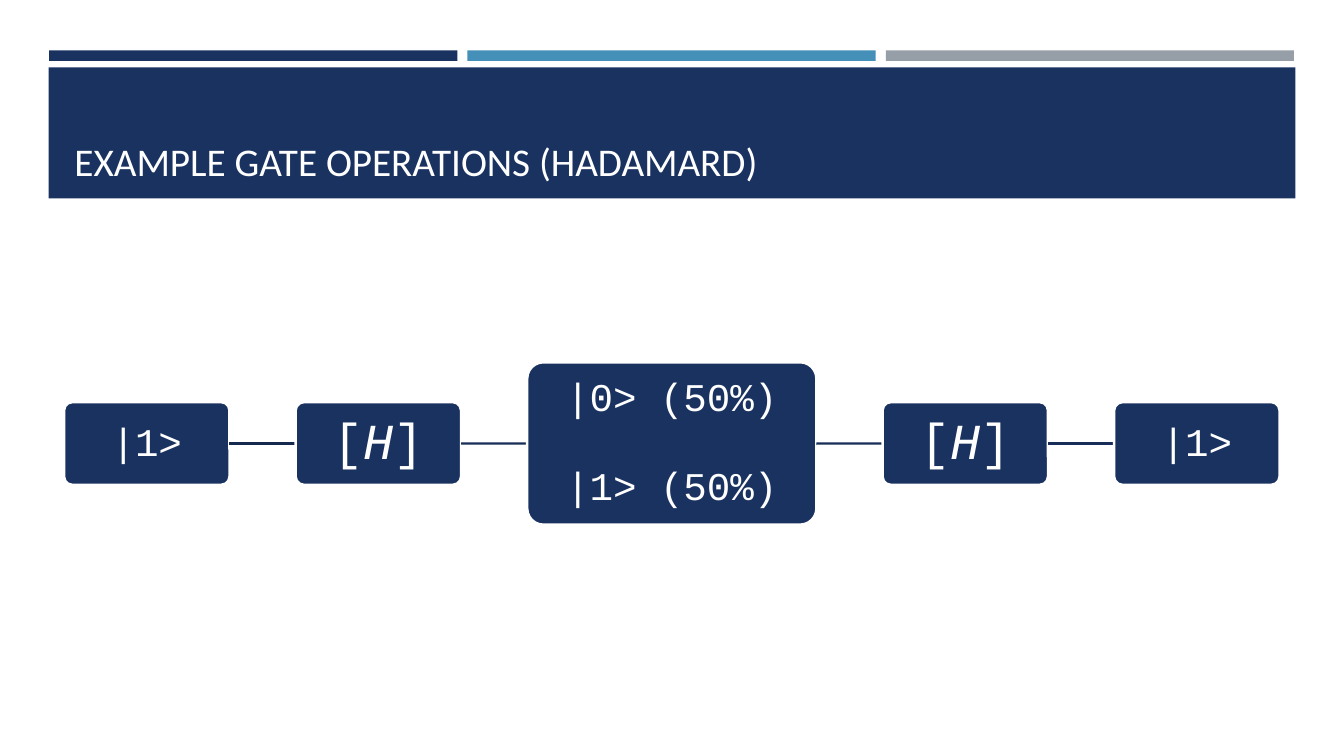
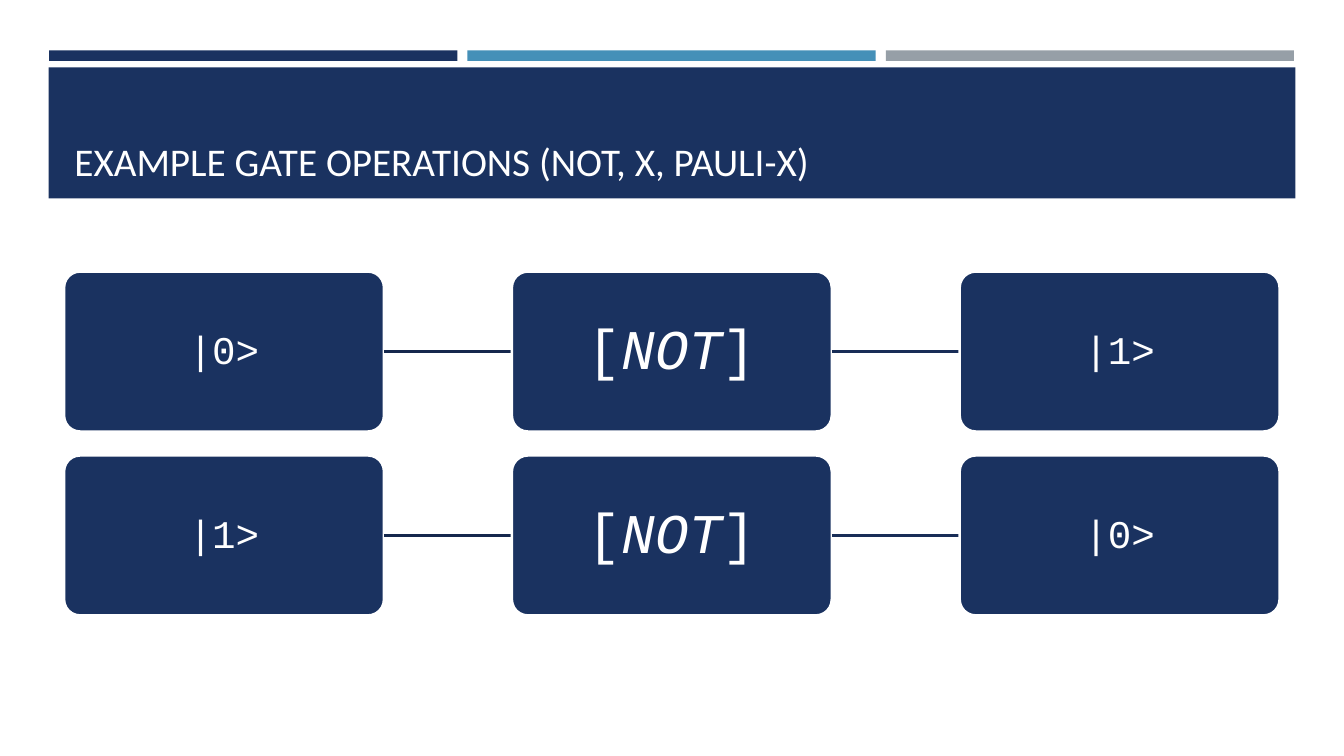
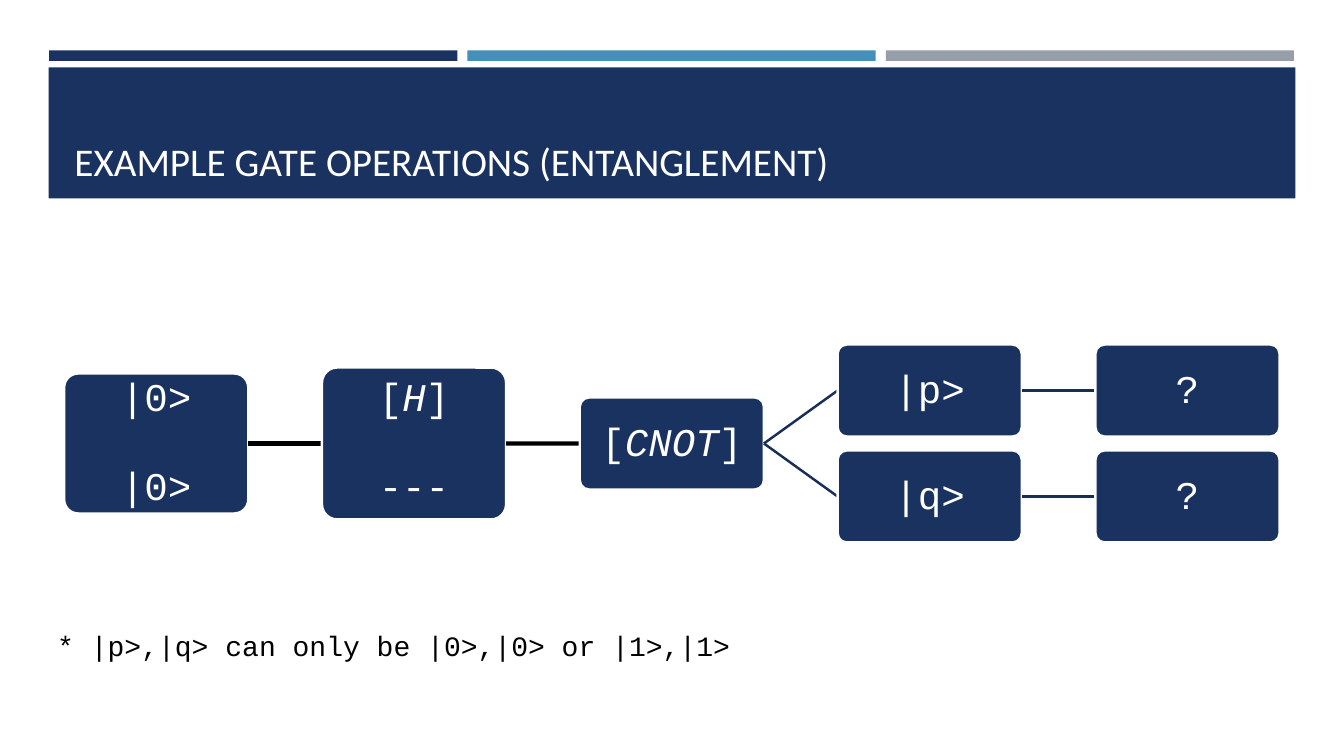
from dataclasses import dataclass

from lxml.etree import SubElement
from pptx import Presentation
from pptx.dml.color import RGBColor
from pptx.enum.shapes import MSO_CONNECTOR, MSO_SHAPE, PP_PLACEHOLDER
from pptx.enum.text import MSO_ANCHOR, MSO_AUTO_SIZE, PP_ALIGN
from pptx.oxml.ns import qn
from pptx.util import Pt


@dataclass(frozen=True)
class Theme:
    navy: str = "1A3260"
    blue: str = "4590B8"
    grey: str = "969FA7"
    white: str = "FFFFFF"
    black: str = "000000"
    link_dark: str = "15284D"
    link_navy: str = "182D57"
    title_font: str = "Calibri"
    code_font: str = "Courier New"
    title_size: float = 28
    state_size: float = 28
    gate_size: float = 36
    large_gate_size: float = 40
    note_size: float = 20
    outline: float = 1.75
    heavy_line: float = 3


THEME = Theme()


@dataclass
class Box:
    lines: tuple
    size: float = THEME.state_size
    width: float = 0  # 0 means the common width of the slide
    height: float = 0  # 0 means half the common width


# Content: columns of boxes from left to right, and one link style per gap
DARK = (THEME.link_dark, THEME.outline)
NAVY = (THEME.link_navy, THEME.outline)
HEAVY = (THEME.black, THEME.heavy_line)

HADAMARD = Box(("[H]",), THEME.gate_size)
NOT_GATE = Box(("[NOT]",), THEME.large_gate_size)
ZERO = Box(("|0>",))
ONE = Box(("|1>",))
UNKNOWN = Box(("?",))

SLIDES = [
    {
        "title": "EXAMPLE GATE OPERATIONS (HADAMARD)",
        "columns": [
            [ONE],
            [HADAMARD],
            [Box(("|0> (50%)", "|1> (50%)"), width=206.6, height=116)],
            [HADAMARD],
            [ONE],
        ],
        "links": [DARK, NAVY, NAVY, NAVY],
    },
    {
        "title": "EXAMPLE GATE OPERATIONS (NOT, X, PAULI-X)",
        "columns": [[ZERO, ONE], [NOT_GATE, NOT_GATE], [ONE, ZERO]],
        "links": [DARK, NAVY],
    },
    {
        "title": "EXAMPLE GATE OPERATIONS (ENTANGLEMENT)",
        "columns": [
            [Box(("|0>", "|0>"), height=100)],
            [Box(("[H]", "---"), height=108.5)],
            [Box(("[CNOT]",))],
            [Box(("|p>",)), Box(("|q>",))],
            [UNKNOWN, UNKNOWN],
        ],
        "links": [HEAVY, HEAVY, NAVY, NAVY],
        "note": "* |p>,|q> can only be |0>,|0> or |1>,|1>",
    },
]

# Geometry in points
SLIDE_SIZE = (960, 540)
TITLE_AREA = (46, 55.4, 868.3, 79.9)
BANNER = (34.8, 48.2, 890.6, 93.6)
STRIP_LEFT, STRIP_TOP, STRIP_WIDTH, STRIP_HEIGHT, STRIP_GAP = 35.1, 36, 291.6, 7.5, 7.2
DIAGRAM_LEFT, DIAGRAM_WIDTH, DIAGRAM_MIDDLE = 45.8, 868.2, 316.8
GAP_RATIO = 0.4  # gap between columns, relative to the common width
ROW_RATIO = 1.15  # distance between rows, relative to the box height
LINE_GAP = 33
NOTE_AREA = (33.8, 445.7, 498.2, 31.5)


def colour(value):
    return RGBColor.from_string(value)


def set_font(paragraph, name, size, value):
    paragraph.font.name = name
    paragraph.font.size = Pt(size)
    paragraph.font.color.rgb = colour(value)


def add_block(slide, kind, area, fill, outline=None):
    shape = slide.shapes.add_shape(kind, *map(Pt, area))
    shape.shadow.inherit = False
    shape.fill.solid()
    shape.fill.fore_color.rgb = colour(fill)
    if outline:
        shape.line.color.rgb = colour(outline)
        shape.line.width = Pt(THEME.outline)
    else:
        shape.line.fill.background()
    return shape


def prepare_layout(layout):
    """Keep only the title placeholder and place it on the banner."""
    for placeholder in list(layout.placeholders):
        if placeholder.placeholder_format.type != PP_PLACEHOLDER.TITLE:
            layout.shapes.element.remove(placeholder.element)
            continue
        placeholder.left, placeholder.top, placeholder.width, placeholder.height = map(Pt, TITLE_AREA)
        placeholder.text_frame.vertical_anchor = MSO_ANCHOR.BOTTOM
        placeholder.text_frame.auto_size = MSO_AUTO_SIZE.NONE


def add_bands(slide):
    """Draw the strips and the banner, then hand them to the slide's layout."""
    bands = [(BANNER, THEME.navy)]
    for index, fill in enumerate((THEME.navy, THEME.blue, THEME.grey)):
        left = STRIP_LEFT + index * (STRIP_WIDTH + STRIP_GAP)
        bands.append(((left, STRIP_TOP, STRIP_WIDTH, STRIP_HEIGHT), fill))
    shapes = [add_block(slide, MSO_SHAPE.RECTANGLE, area, fill) for area, fill in bands]
    for shape in shapes:
        slide.slide_layout.shapes.element.insert(2, shape.element)


def add_title(slide, text):
    slide.shapes.title.text_frame.text = text
    paragraph = slide.shapes.title.text_frame.paragraphs[0]
    paragraph.alignment = PP_ALIGN.LEFT
    set_font(paragraph, THEME.title_font, THEME.title_size, THEME.white)


def add_line_of_text(paragraph, text):
    """Gate names inside square brackets are italic."""
    parts = ("[", text[1:-1], "]") if text.startswith("[") else (text,)
    for part in parts:
        run = paragraph.add_run()
        run.text = part
        if len(parts) > 1 and part not in "[]":
            run.font.italic = True


def add_box(slide, box, area):
    shape = add_block(slide, MSO_SHAPE.ROUNDED_RECTANGLE, area, THEME.navy, THEME.white)
    shape.adjustments[0] = 0.1
    frame = shape.text_frame
    frame.word_wrap = True
    frame.vertical_anchor = MSO_ANCHOR.MIDDLE
    frame.margin_left = frame.margin_right = frame.margin_top = frame.margin_bottom = Pt(1.5)
    for index, line in enumerate(box.lines):
        paragraph = frame.add_paragraph() if index else frame.paragraphs[0]
        paragraph.alignment = PP_ALIGN.CENTER
        paragraph.line_spacing = 0.9
        paragraph.space_before = Pt(LINE_GAP if index else 0)
        set_font(paragraph, THEME.code_font, box.size, THEME.white)
        add_line_of_text(paragraph, line)
    return shape


def add_link(slide, source, target, style):
    value, width = style
    connector = slide.shapes.add_connector(MSO_CONNECTOR.STRAIGHT, 0, 0, 0, 0)
    connector.begin_connect(source, 3)
    connector.end_connect(target, 1)
    connector.line.color.rgb = colour(value)
    connector.line.width = Pt(width)
    SubElement(connector.element.spPr, qn("a:effectLst"))
    # The target's white outline covers the end of the line
    target.element.addprevious(connector.element)


def add_diagram(slide, columns, links):
    # Common width: what the fixed columns leave, shared by boxes and gaps
    fixed = [column[0].width for column in columns if column[0].width]
    shares = len(columns) - len(fixed) + GAP_RATIO * (len(columns) - 1)
    common = (DIAGRAM_WIDTH - sum(fixed)) / shares

    left = DIAGRAM_LEFT
    previous = []
    for index, column in enumerate(columns):
        width = column[0].width or common
        current = []
        for row, box in enumerate(column):
            height = box.height or common / 2
            middle = DIAGRAM_MIDDLE + (row - (len(column) - 1) / 2) * ROW_RATIO * height
            current.append(add_box(slide, box, (left, middle - height / 2, width, height)))
        if previous:
            sources = previous if len(previous) == len(current) else previous * len(current)
            for source, target in zip(sources, current):
                add_link(slide, source, target, links[index - 1])
        previous = current
        left += width + GAP_RATIO * common


def add_note(slide, text):
    frame = slide.shapes.add_textbox(*map(Pt, NOTE_AREA)).text_frame
    frame.word_wrap = True
    frame.text = text
    set_font(frame.paragraphs[0], THEME.code_font, THEME.note_size, THEME.black)


def main():
    presentation = Presentation()
    presentation.slide_width, presentation.slide_height = map(Pt, SLIDE_SIZE)
    layout = presentation.slide_layouts.get_by_name("Title Only")
    prepare_layout(layout)
    for index, content in enumerate(SLIDES):
        slide = presentation.slides.add_slide(layout)
        if index == 0:
            add_bands(slide)
        add_title(slide, content["title"])
        add_diagram(slide, content["columns"], content["links"])
        if "note" in content:
            add_note(slide, content["note"])
    presentation.save("out.pptx")


if __name__ == "__main__":
    main()
